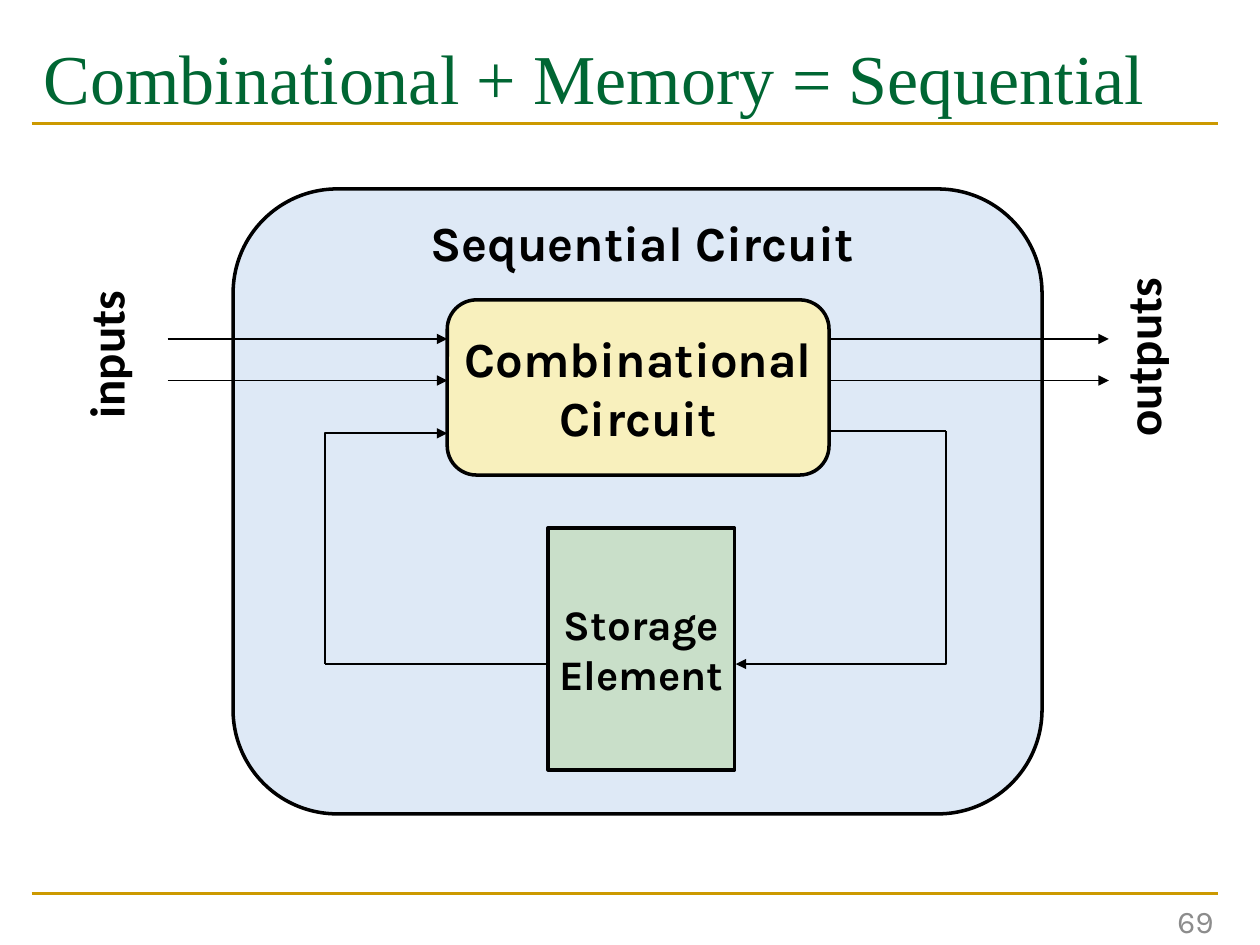
import pptx
import pptx.util
import pptx.dml.color
import pptx.enum.shapes
import pptx.enum.text
from lxml import etree

Pt = pptx.util.Pt
Kind = pptx.enum.shapes.MSO_SHAPE
Link = pptx.enum.shapes.MSO_CONNECTOR
Align = pptx.enum.text.PP_ALIGN
Anchor = pptx.enum.text.MSO_ANCHOR
NS = "http://schemas.openxmlformats.org/drawingml/2006/main"

BLACK, GOLD = "000000", "CC9900"
MID, TOP = Anchor.MIDDLE, Anchor.TOP

BOXES = [
    (Kind.ROUNDED_RECTANGLE, (133.2, 108, 462.24, 357.12), "DEE9F6", [], 28),
    (Kind.ROUNDED_RECTANGLE, (255.6, 171.36, 218.16, 100.08), "F8F0BD",
     ["Combinational", "Circuit"], 28),
    (Kind.RECTANGLE, (313.2, 301.68, 106.56, 138.24), "C9DFC9",
     ["Storage", "Element"], 24),
]
LABELS = [
    ("Combinational + Memory = Sequential", (18, 16, 678.24, 80),
     "Times New Roman", 40, "006633", False, Align.LEFT, TOP, 0),
    ("69", (538.56, 511.92, 162, 28.8),
     "Karla", 18, "8C8C8C", False, Align.RIGHT, MID, 0),
    ("Sequential Circuit", (191.52, 118, 350.64, 63.36),
     "Karla", 28, BLACK, True, Align.CENTER, TOP, 0),
    ("inputs", (15.12, 182.16, 90, 41.04),
     "Calibri", 28, BLACK, True, Align.CENTER, TOP, 270),
    ("outputs", (598.32, 183.6, 108.72, 41.04),
     "Calibri", 28, BLACK, True, Align.CENTER, TOP, 270),
]
RULES = [70.56, 510.48]
FLOWS = [(95.76, 255.6), (473.76, 633.6)]
ROWS = [193.68, 217.44]
STUBS = [((185.76, 379.44), (313.2, 379.44)), ((473.76, 246.24), (540.72, 246.24))]
BENDS = [((540.72, 246.24), (420.48, 379.44)), ((185.76, 379.44), (255.6, 247.68))]


def rgb(code):
    return pptx.dml.color.RGBColor.from_string(code)


def write(shape, lines, font, size, color, bold, align, anchor):
    frame = shape.text_frame
    frame.vertical_anchor = anchor
    frame.text = "\n".join(lines)
    for para in frame.paragraphs:
        para.alignment = align
        para.font.name = font
        para.font.size = Pt(size)
        para.font.bold = bold
        para.font.color.rgb = rgb(color)


def box(slide, kind, place, fill, lines, size):
    shape = slide.shapes.add_shape(kind, *map(Pt, place))
    shape.shadow.inherit = False
    shape.fill.solid()
    shape.fill.fore_color.rgb = rgb(fill)
    shape.line.color.rgb = rgb(BLACK)
    shape.line.width = Pt(2)
    if lines:
        write(shape, lines, "Karla", size, BLACK, True, Align.CENTER, MID)
        shape.text_frame.word_wrap = False


def label(slide, text, place, font, size, color, bold, align, anchor, turn):
    shape = slide.shapes.add_textbox(*map(Pt, place))
    shape.rotation = turn
    shape.text_frame.word_wrap = True
    write(shape, [text], font, size, color, bold, align, anchor)


def line(slide, start, end, color=BLACK, width=1, arrow=False, kind=Link.STRAIGHT):
    link = slide.shapes.add_connector(kind, *map(Pt, start + end))
    link.line.color.rgb = rgb(color)
    link.line.width = Pt(width)
    if arrow:
        etree.SubElement(link.line._ln, f"{{{NS}}}tailEnd", type="triangle")
    etree.SubElement(link._element.spPr, f"{{{NS}}}effectLst")
    return link


def bend(slide, start, end):
    (x1, y1), (x2, y2) = start, end
    midx, midy = (x1 + x2) / 2, (y1 + y2) / 2
    dx, dy = (y2 - y1) / 2, (x1 - x2) / 2
    link = line(slide, (midx - dx, midy - dy), (midx + dx, midy + dy),
                arrow=True, kind=Link.ELBOW)
    props = link._element.spPr
    props.find(f"{{{NS}}}xfrm").set("rot", "5400000")
    props.find(f"{{{NS}}}prstGeom").set("prst", "bentConnector2")


def main():
    deck = pptx.Presentation()
    deck.slide_width, deck.slide_height = Pt(720), Pt(540)
    slide = deck.slides.add_slide(deck.slide_layouts[6])
    for y in RULES:
        line(slide, (18, y), (696.24, y), GOLD, 1.5)
    for item in BOXES:
        box(slide, *item)
    for item in LABELS:
        label(slide, *item)
    for left, right in FLOWS:
        for y in ROWS:
            line(slide, (left, y), (right, y), arrow=True)
    for start, end in STUBS:
        line(slide, start, end)
    for start, end in BENDS:
        bend(slide, start, end)
    deck.save("out.pptx")


if __name__ == "__main__":
    main()
